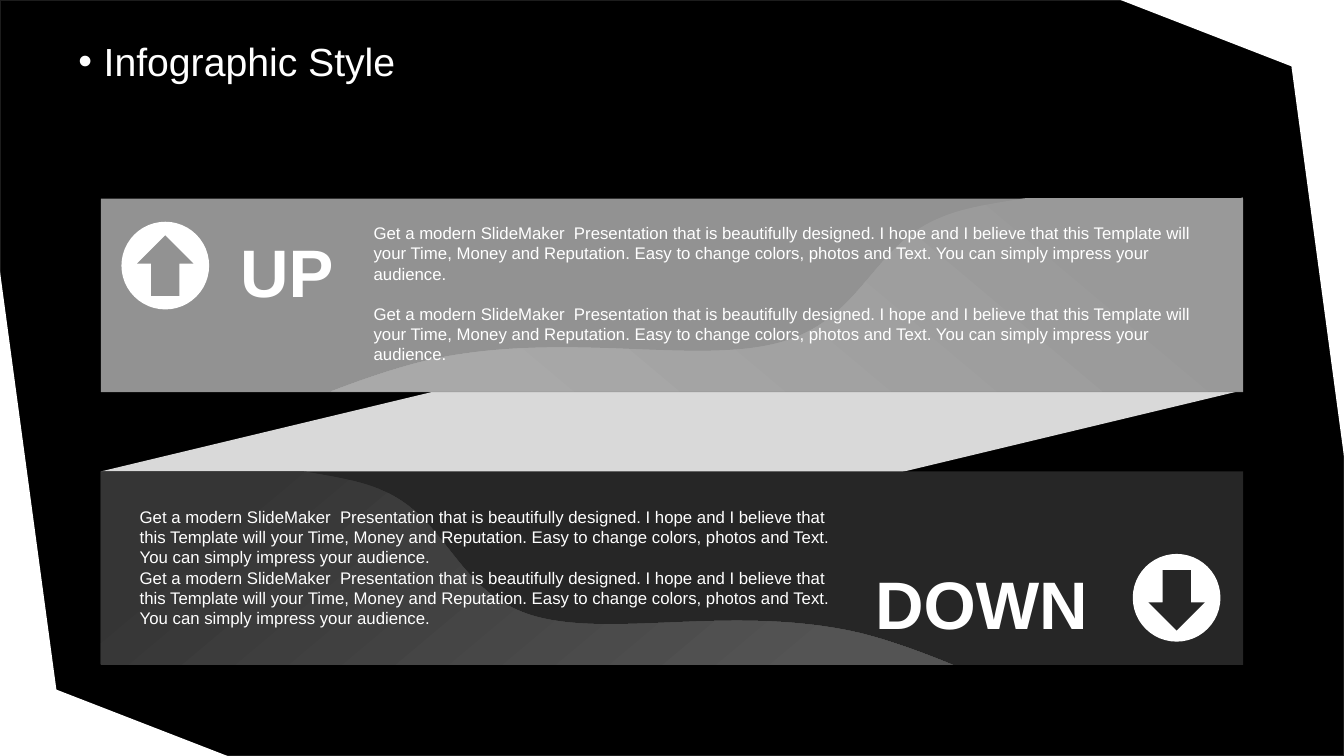
import pptx
import pptx.util
import pptx.dml.color
import pptx.enum.shapes
import pptx.enum.text
import pptx.oxml.ns
import lxml.etree

COLUMNS, ROWS = 160, 90
CELL = pptx.util.Inches(1) / 12
FONT = "Arial"

RGB = pptx.dml.color.RGBColor
WHITE = RGB(0xFF, 0xFF, 0xFF)
BLACK = RGB(0x00, 0x00, 0x00)
EDGE = RGB(0x1C, 0x1C, 0x1C)
RIBBON = RGB(0xD9, 0xD9, 0xD9)
UP_GREY = RGB(0x92, 0x92, 0x92)
UP_WAVE = (RGB(0x99, 0x99, 0x99), RGB(0xA9, 0xA9, 0xA9))
DOWN_GREY = RGB(0x26, 0x26, 0x26)
DOWN_WAVE = (RGB(0x35, 0x35, 0x35), RGB(0x54, 0x54, 0x54))

KIND = pptx.enum.shapes.MSO_SHAPE
ANCHOR = pptx.enum.text.MSO_ANCHOR
ALIGN = pptx.enum.text.PP_ALIGN

BAND_LEFT, BAND_WIDTH, BAND_HEIGHT = 12, 136, 23.04
CIRCLE = 10.44
ARROW_WIDTH, ARROW_HEIGHT = 6.72, 7.2
WAVE_REACH = 108.6
WAVE_CORNERS = [(0, 0), (0, BAND_HEIGHT), (WAVE_REACH, BAND_HEIGHT)]
WAVE_CURVES = [
    (103.8, 21.2), (99.2, 19.7), (95.5, 19),
    (79.8, 16), (65, 19.9), (55.1, 17.2),
    (45.2, 14.4), (44.3, 5.6), (35.9, 2.3),
    (33.4, 1.2), (29.6, 0.6), (25.7, 0),
]
MESSAGE = (
    "Get a modern SlideMaker  Presentation that is beautifully designed. "
    "I hope and I believe that this Template will your Time, Money and "
    "Reputation. Easy to change colors, photos and Text. You can simply "
    "impress your audience."
)


def cells(*counts):
    return [round(count * CELL) for count in counts]


def add_preset(slide, kind, area, color):
    shape = slide.shapes.add_shape(kind, *cells(*area))
    shape.shadow.inherit = False
    shape.fill.solid()
    shape.fill.fore_color.rgb = color
    shape.line.fill.background()
    return shape


def add_outline(slide, points):
    corners = [cells(*point) for point in points]
    builder = slide.shapes.build_freeform(*corners[0])
    builder.add_line_segments(corners[1:], close=True)
    shape = builder.convert_to_shape()
    shape.shadow.inherit = False
    shape.line.fill.background()
    return shape


def add_corner(slide, points):
    corner = add_outline(slide, points)
    corner.fill.solid()
    corner.fill.fore_color.rgb = WHITE


def bend_lines(shape, first):
    name = pptx.oxml.ns.qn
    lines = list(shape._element.iter(name("a:lnTo")))[first:]
    for start in range(0, len(lines), 3):
        curve = lxml.etree.Element(name("a:cubicBezTo"))
        lines[start].addprevious(curve)
        for line in lines[start:start + 3]:
            curve.append(line[0])
            line.getparent().remove(line)


def add_wave(slide, edge, reach, top, colors, angle):
    stretch = reach / WAVE_REACH
    points = WAVE_CORNERS + WAVE_CURVES
    wave = add_outline(slide, [(edge + stretch * x, top + y) for x, y in points])
    bend_lines(wave, len(WAVE_CORNERS) - 1)
    wave.fill.gradient()
    wave.fill.gradient_angle = angle
    for stop, position, color in zip(wave.fill.gradient_stops, (0.14, 0.88), colors):
        stop.position = position
        stop.color.rgb = color


def add_band(slide, top, color):
    add_preset(slide, KIND.RECTANGLE, (BAND_LEFT, top, BAND_WIDTH, BAND_HEIGHT), color)


def add_icon(slide, left, top, color, arrow_shift, turn):
    add_preset(slide, KIND.OVAL, (left, top, CIRCLE, CIRCLE), WHITE)
    arrow_left = left + (CIRCLE - ARROW_WIDTH) / 2
    arrow_top = top + (CIRCLE - ARROW_HEIGHT) / 2 + arrow_shift
    area = (arrow_left, arrow_top, ARROW_WIDTH, ARROW_HEIGHT)
    add_preset(slide, KIND.UP_ARROW, area, color).rotation = turn


def add_text(slide, area, texts, size, bold=False):
    box = slide.shapes.add_textbox(*cells(*area))
    frame = box.text_frame
    frame.word_wrap = True
    frame.text = "\n".join(texts)
    for para in frame.paragraphs:
        for span in para.runs:
            span.font.name = FONT
            span.font.size = pptx.util.Pt(size)
            span.font.bold = bold
            span.font.color.rgb = WHITE
    return frame


def add_title(slide, area, text):
    para = add_text(slide, area, [text], 28).paragraphs[0]
    para.line_spacing = 0.9
    properties = para._p.get_or_add_pPr()
    indent = pptx.util.Inches(0.25)
    properties.set("marL", str(indent))
    properties.set("indent", str(-indent))
    for tag, name, value in (("a:buFont", "typeface", FONT), ("a:buChar", "char", "•")):
        mark = lxml.etree.SubElement(properties, pptx.oxml.ns.qn(tag))
        mark.set(name, value)


def add_heading(slide, area, text):
    frame = add_text(slide, area, [text], 48, bold=True)
    frame.margin_left = frame.margin_right = 0
    frame.margin_top = frame.margin_bottom = 0
    frame.vertical_anchor = ANCHOR.BOTTOM
    frame.paragraphs[0].alignment = ALIGN.CENTER


def add_messages(slide, area, gap):
    frame = add_text(slide, area, [MESSAGE, MESSAGE], 12)
    frame.paragraphs[1].space_before = pptx.util.Pt(gap)


def add_ribbon(slide):
    ribbon = add_preset(slide, KIND.PARALLELOGRAM, (52.2, -16.68, 55.56, 135.96), RIBBON)
    ribbon.adjustments[0] = 0.587
    ribbon.rotation = 270
    ribbon._element.spPr.find(pptx.oxml.ns.qn("a:xfrm")).set("flipH", "1")


def add_backdrop(slide):
    backdrop = add_preset(slide, KIND.RECTANGLE, (0, 0, COLUMNS, ROWS), BLACK)
    backdrop.line.color.rgb = EDGE
    backdrop.line.width = pptx.util.Pt(1)
    add_corner(slide, [(0, ROWS), (0, 32.3), (6.72, 82.1), (27.1, ROWS)])
    add_corner(slide, [(COLUMNS, 0), (COLUMNS, 54.3), (153.75, 7.9), (133.4, 0)])


def main():
    deck = pptx.Presentation()
    deck.slide_width, deck.slide_height = cells(COLUMNS, ROWS)
    page = deck.slides.add_slide(deck.slide_layouts[6])
    add_backdrop(page)
    add_title(page, (8.16, 4.44, 151.84, 9.48), "Infographic Style")
    add_ribbon(page)

    add_band(page, 23.64, UP_GREY)
    add_wave(page, BAND_LEFT + BAND_WIDTH, -WAVE_REACH, 23.56, UP_WAVE, 230)
    add_heading(page, (26.7, 27.24, 14.88, 9.72), "UP")
    add_icon(page, 14.46, 26.4, UP_GREY, 0, 0)
    add_messages(page, (43.3, 25.95, 100.2, 13.32), 14.2)

    add_band(page, 56.1, DOWN_GREY)
    add_wave(page, BAND_LEFT, 101.4, 56.1, DOWN_WAVE, 310)
    add_heading(page, (99.8, 66.84, 34.08, 9.72), "DOWN")
    add_icon(page, 134.86, 65.95, DOWN_GREY, 0.3, 180)
    add_messages(page, (15.45, 59.74, 86.16, 15.72), 0)
    deck.save("out.pptx")


if __name__ == "__main__":
    main()
